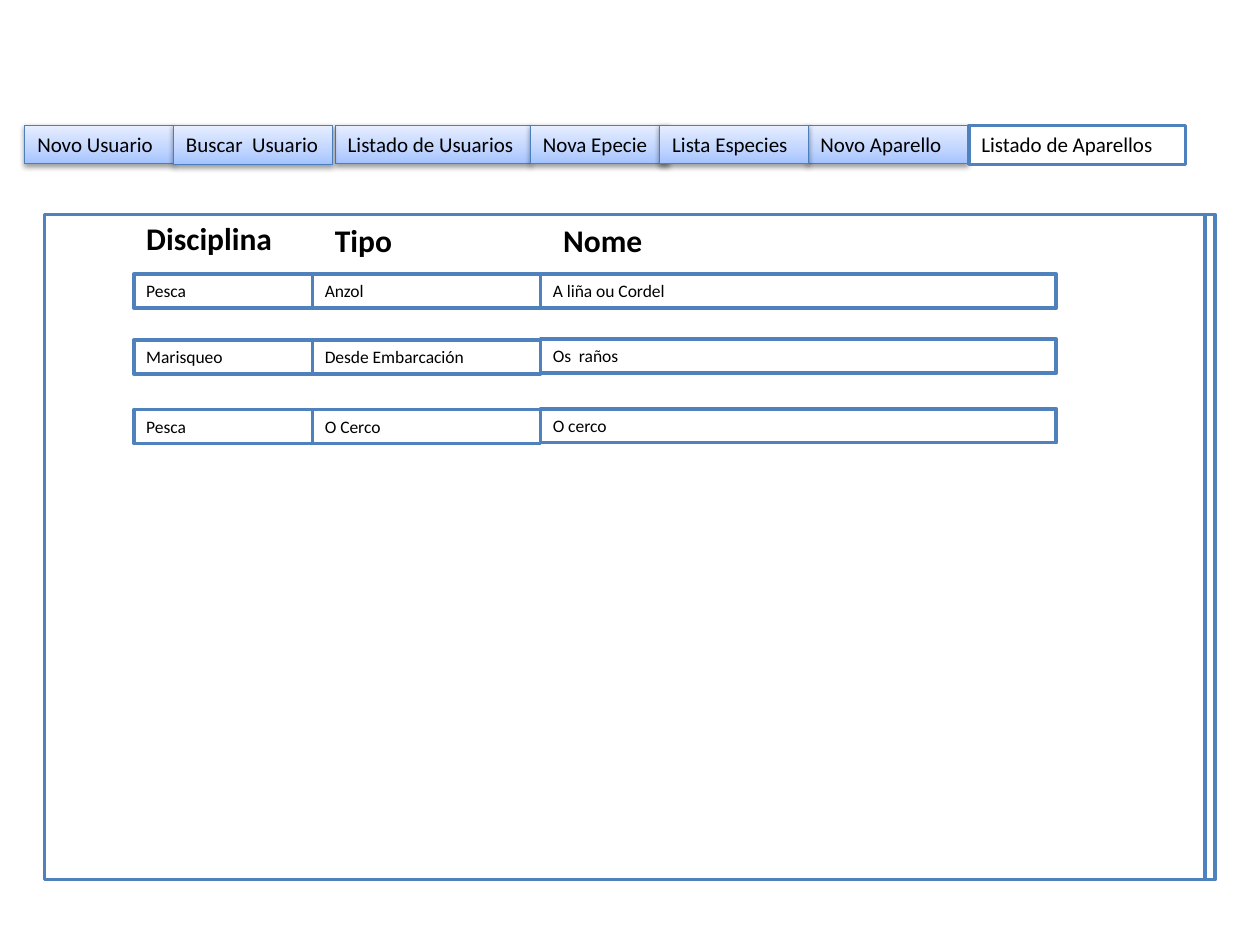
from lxml import etree
from pptx import Presentation
from pptx.dml.color import RGBColor
from pptx.enum.shapes import MSO_SHAPE
from pptx.enum.text import MSO_ANCHOR, MSO_AUTO_SIZE, PP_ALIGN
from pptx.oxml.ns import qn
from pptx.util import Pt

RECT = MSO_SHAPE.RECTANGLE
TOP = MSO_ANCHOR.TOP
GROW = MSO_AUTO_SIZE.SHAPE_TO_FIT_TEXT
LEFT = PP_ALIGN.LEFT

FONT = "Calibri"
BLACK = RGBColor(0x00, 0x00, 0x00)
WHITE = RGBColor(0xFF, 0xFF, 0xFF)
BLUE = RGBColor(0x4F, 0x81, 0xBD)
EDGE = RGBColor(0x4B, 0x7E, 0xBC)
SHADES = [
    (0, RGBColor(0xA4, 0xC4, 0xFF)),
    (35, RGBColor(0xBF, 0xD4, 0xFF)),
    (100, RGBColor(0xE6, 0xEE, 0xFF)),
]

# Menu: label, left, width, height, active; later tabs overlap earlier ones
MENU_TOP = 71.6
MENU = [
    ("Novo Usuario", 14.2, 85, 21.8, False),
    ("Listado de Usuarios", 191.6, 111.6, 21.8, False),
    ("Novo Aparello", 461.7, 91.4, 21.8, False),
    ("Listado de Aparellos", 553.7, 123.8, 22.3, True),
    ("Buscar  Usuario", 99.2, 90.7, 22.3, False),
    ("Nova Epecie", 303.1, 79.2, 21.8, False),
    ("Lista Especies", 377, 85, 21.8, False),
]

# Columns: left, width
COLS = [(76.5, 102), (178.5, 130.3), (308.8, 294.8)]
CELL_H = 19.4
HEADS = [("Disciplina", 76.5, 121.8), ("Tipo", 184.3, 122.6), ("Nome", 314.8, 122.6)]
HEAD_W, HEAD_H = 102, 29
# Rows: top of the first two cells, top of the last, texts
ROWS = [
    (156.7, 156.7, ("Pesca", "Anzol", "A liña ou Cordel")),
    (194.4, 193.9, ("Marisqueo", "Desde Embarcación", "Os  raños")),
    (234.1, 233.6, ("Pesca", "O Cerco", "O cerco")),
]

PANEL_LEFTS = (31, 25.4)
PANEL_TOP, PANEL_W, PANEL_H = 122.5, 663.2, 380.2


def write(shape, text, size, bold=False):
    frame = shape.text_frame
    frame.text = text
    frame.word_wrap = True
    frame.auto_size = GROW
    frame.vertical_anchor = TOP
    para = frame.paragraphs[0]
    para.alignment = LEFT
    font = para.runs[0].font
    font.name, font.size, font.bold = FONT, Pt(size), bold
    font.color.rgb = BLACK


def box(slide, *area):
    """Add a white rectangle with a blue outline; area is in points."""
    shape = slide.shapes.add_shape(RECT, *map(Pt, area))
    shape.shadow.inherit = False
    shape.fill.solid()
    shape.fill.fore_color.rgb = WHITE
    shape.line.color.rgb = BLUE
    shape.line.width = Pt(2)
    return shape


def raise_tab(shape):
    """Give an inactive tab its gradient, thin edge and shadow."""
    shape.line.color.rgb = EDGE
    shape.line.width = Pt(0.75)
    shape.fill.gradient()
    shape.fill.gradient_angle = 90
    props = shape.element.spPr
    stops = props.find(qn("a:gradFill")).find(qn("a:gsLst"))
    for stop in list(stops):
        stops.remove(stop)
    for place, color in SHADES:
        stop = etree.SubElement(stops, qn("a:gs"), pos=str(place * 1000))
        etree.SubElement(stop, qn("a:srgbClr"), val=str(color))
    shadow = etree.SubElement(
        props.find(qn("a:effectLst")), qn("a:outerShdw"),
        blurRad=str(Pt(3.1)), dist=str(Pt(1.6)), dir="5400000", rotWithShape="0")
    tint = etree.SubElement(shadow, qn("a:srgbClr"), val=str(BLACK))
    etree.SubElement(tint, qn("a:alpha"), val="38000")


def main():
    deck = Presentation()
    deck.slide_width, deck.slide_height = Pt(720), Pt(540)
    slide = deck.slides.add_slide(deck.slide_layouts[6])

    for left in PANEL_LEFTS:
        box(slide, left, PANEL_TOP, PANEL_W, PANEL_H)

    for top, last, texts in ROWS:
        for (left, width), y, text in zip(COLS, (top, top, last), texts):
            write(box(slide, left, y, width, CELL_H), text, 10)

    for text, left, top in HEADS:
        area = map(Pt, (left, top, HEAD_W, HEAD_H))
        write(slide.shapes.add_textbox(*area), text, 18, True)

    for text, left, width, height, active in MENU:
        tab = box(slide, left, MENU_TOP, width, height)
        if not active:
            raise_tab(tab)
        write(tab, text, 12)

    deck.save("out.pptx")


if __name__ == "__main__":
    main()
